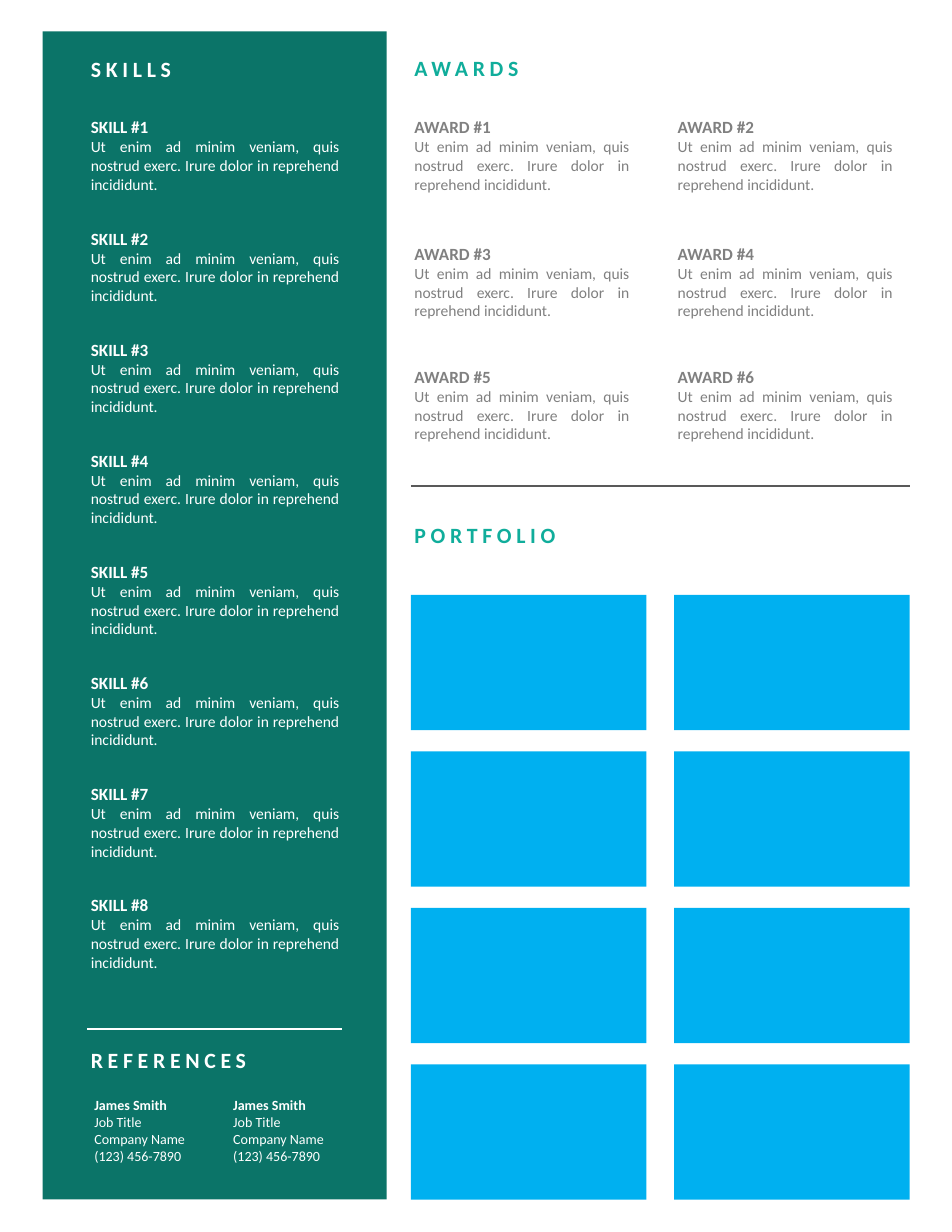
from copy import deepcopy
from dataclasses import dataclass
from itertools import product

from pptx import Presentation
from pptx import util as u
from pptx.dml.color import RGBColor
from pptx.enum import shapes, text
from pptx.oxml import ns, parse_xml
from pptx.util import Cm


@dataclass(frozen=True)
class Theme:
    font: str = "Calibri"
    panel: str = "0B7468"
    accent: str = "10AD9B"
    tile: str = "00B0F0"
    rule: str = "595959"
    grey: str = "808080"
    white: str = "FFFFFF"
    heading: int = 14
    label: int = 11
    body: int = 10
    contact: int = 9
    tracking: int = 3
    inset: float = 0.08


@dataclass(frozen=True)
class Area:
    """Left, top, width and height in centimetres."""
    left: float
    top: float
    width: float
    height: float

    def lengths(self) -> tuple:
        return Cm(self.left), Cm(self.top), Cm(self.width), Cm(self.height)


@dataclass(frozen=True)
class Heading:
    words: str
    left: float
    top: float
    color: str


@dataclass(frozen=True)
class Entry:
    label: str
    area: Area
    color: str


THEME = Theme()
BLURB = "Ut enim ad minim veniam, quis nostrud exerc. Irure dolor in reprehend incididunt."
CONTACT = ("James Smith", "Job Title", "Company Name \v(123) 456-7890")
SIDE_LEFT = 1.98
COLUMNS = (9.32, 15.29)
RIGHT_EDGE = 20.63
ENTRY_TOP, ENTRY_HEIGHT = 2.57, 1.93


def rgb(color: str) -> RGBColor:
    return RGBColor.from_string(color)


def add_rectangle(page, area: Area, color: str):
    box = page.shapes.add_shape(shapes.MSO_SHAPE.RECTANGLE, *area.lengths())
    box.shadow.inherit = False
    box.fill.solid()
    box.fill.fore_color.rgb = rgb(color)
    box.line.fill.background()
    return box


def add_rule(page, left: float, right: float, top: float, color: str) -> None:
    rule = page.shapes.add_connector(
        shapes.MSO_CONNECTOR.STRAIGHT, Cm(left), Cm(top), Cm(right), Cm(top))
    rule.line.color.rgb = rgb(color)
    rule.line.width = u.Pt(1)
    rule.element.spPr.append(parse_xml(f"<a:effectLst {ns.nsdecls('a')}/>"))


def write(para, words: str, *, size: int, color: str, bold: bool = False,
          align=text.PP_ALIGN.LEFT, tracking: int = 0) -> None:
    para.text = words
    para.alignment = align
    for span in para.runs:
        span.font.name = THEME.font
        span.font.size = u.Pt(size)
        span.font.bold = bold
        span.font.color.rgb = rgb(color)
        if tracking:
            span._r.get_or_add_rPr().set("spc", str(tracking * 100))
    # Line breaks take the format of the text beside them
    for line_break in para._p.findall(ns.qn("a:br")):
        line_break.append(deepcopy(para.runs[0]._r.rPr))


def prepare(box, anchor):
    frame = box.text_frame
    frame.word_wrap = True
    frame.auto_size = text.MSO_AUTO_SIZE.SHAPE_TO_FIT_TEXT
    frame.vertical_anchor = anchor
    frame.margin_left = frame.margin_right = Cm(THEME.inset)
    frame.margin_top = frame.margin_bottom = Cm(THEME.inset)
    return frame


def add_heading(page, heading: Heading, box=None) -> None:
    area = Area(heading.left, heading.top, 6.3, 0.76)
    if box is None:
        box = page.shapes.add_textbox(*area.lengths())
    box.left, box.top, box.width, box.height = area.lengths()
    frame = prepare(box, text.MSO_ANCHOR.MIDDLE)
    write(frame.paragraphs[0], heading.words, size=THEME.heading,
          color=heading.color, bold=True, tracking=THEME.tracking)


def add_entry(page, entry: Entry) -> None:
    box = page.shapes.add_textbox(*entry.area.lengths())
    frame = prepare(box, text.MSO_ANCHOR.TOP)
    justify = text.PP_ALIGN.JUSTIFY
    write(frame.paragraphs[0], entry.label, size=THEME.label,
          color=entry.color, bold=True, align=justify)
    write(frame.add_paragraph(), BLURB, size=THEME.body,
          color=entry.color, align=justify)


def add_contact(page, left: float) -> None:
    box = page.shapes.add_textbox(*Area(left, 24.79, 2.8, 1.7).lengths())
    frame = prepare(box, text.MSO_ANCHOR.MIDDLE)
    for index, words in enumerate(CONTACT):
        para = frame.add_paragraph() if index else frame.paragraphs[0]
        write(para, words, size=THEME.contact, color=THEME.white, bold=index == 0)


deck = Presentation()
deck.slide_width, deck.slide_height = Cm(21.59), Cm(27.94)
page = deck.slides.add_slide(deck.slide_layouts[5])

# Side panel, with the title lifted in front of it
panel = add_rectangle(page, Area(0.97, 0.71, 7.8, 26.49), THEME.panel)
title = page.shapes.title
panel.element.addnext(title.element)
add_heading(page, Heading("SKILLS", SIDE_LEFT, 1.19, THEME.white), title)

# Skills and awards
skills = [
    Entry(f"SKILL #{i + 1}",
          Area(SIDE_LEFT, ENTRY_TOP + 2.52 * i, 5.79, ENTRY_HEIGHT), THEME.white)
    for i in range(8)
]
awards = [
    Entry(f"AWARD #{number}", Area(left, top, 5.03, ENTRY_HEIGHT), THEME.grey)
    for number, (top, left) in enumerate(product((ENTRY_TOP, 5.44, 8.23), COLUMNS), 1)
]
for entry in skills + awards:
    add_entry(page, entry)

# Other section headings and dividing rules
for heading in (
    Heading("AWARDS", COLUMNS[0], 1.15, THEME.accent),
    Heading("PORTFOLIO", COLUMNS[0], 11.76, THEME.accent),
    Heading("REFERENCES", SIDE_LEFT, 23.65, THEME.white),
):
    add_heading(page, heading)
add_rule(page, COLUMNS[0], RIGHT_EDGE, 11.02, THEME.rule)
add_rule(page, SIDE_LEFT, 7.75, 23.34, THEME.white)

# References
for left in (2.06, 5.21):
    add_contact(page, left)

# Portfolio tiles
for row, left in product(range(4), COLUMNS):
    add_rectangle(page, Area(left, 13.49 + 3.55 * row, 5.34, 3.07), THEME.tile)

deck.save("out.pptx")
